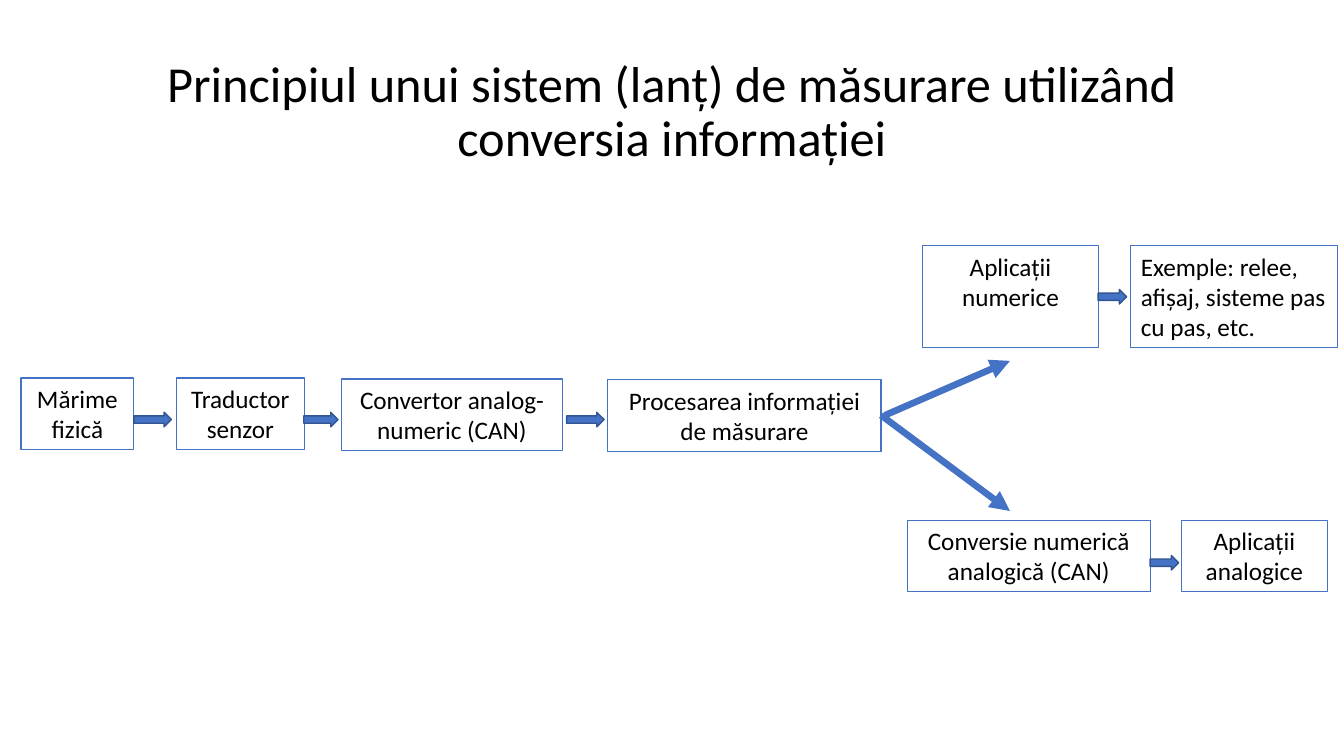
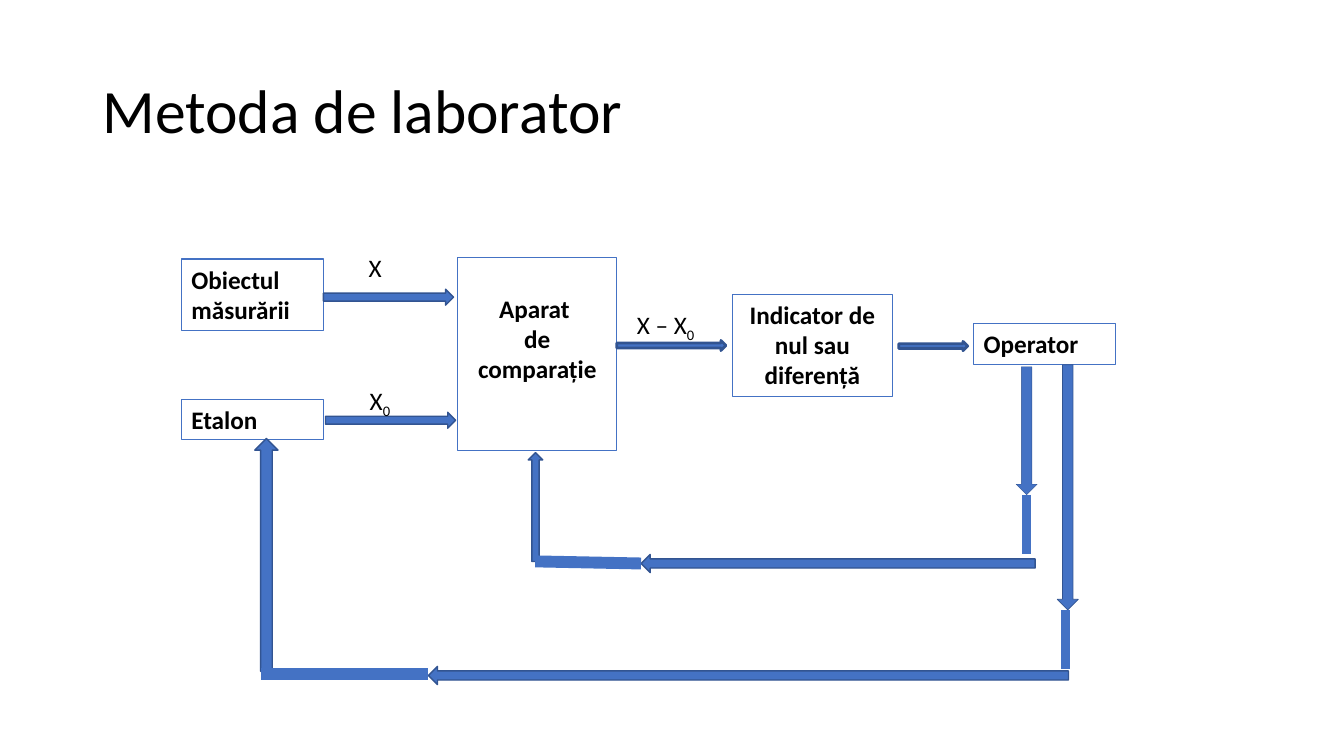
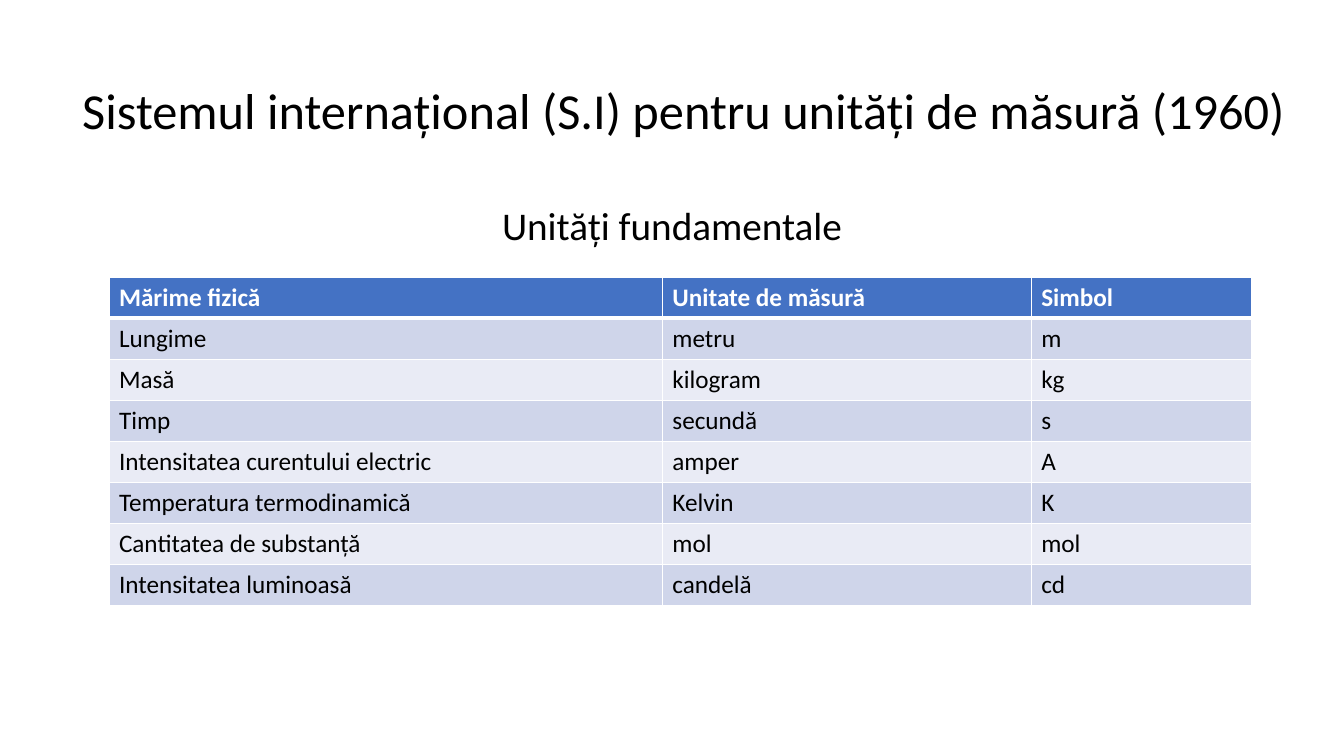
"""Build three slides on measurement systems, the laboratory method and SI units."""
from lxml import etree
from pptx import Presentation
from pptx.dml.color import RGBColor
from pptx.enum.shapes import MSO_CONNECTOR, MSO_SHAPE
from pptx.enum.text import MSO_ANCHOR, MSO_AUTO_SIZE, PP_ALIGN
from pptx.oxml.ns import qn
from pptx.util import Pt

LEFT, CENTER = PP_ALIGN.LEFT, PP_ALIGN.CENTER
RIGHT_ARROW, LEFT_ARROW = MSO_SHAPE.RIGHT_ARROW, MSO_SHAPE.LEFT_ARROW
UP_ARROW, DOWN_ARROW = MSO_SHAPE.UP_ARROW, MSO_SHAPE.DOWN_ARROW
STRAIGHT = MSO_CONNECTOR.STRAIGHT
BLUE, DARK_BLUE, BLACK, WHITE = "4472C4", "325491", "000000", "FFFFFF"
BANDS = ["E9EBF5", "CFD5EA"]


def color(hex_value):
    return RGBColor.from_string(hex_value)


def write(frame, text, align=LEFT, size=18, bold=False, ink=BLACK, spacing=1.0):
    frame.word_wrap = True
    frame.auto_size = MSO_AUTO_SIZE.NONE
    for index, line in enumerate(text.split("\n")):
        paragraph = frame.add_paragraph() if index else frame.paragraphs[0]
        layout = {"alignment": align, "line_spacing": spacing, "space_before": Pt(0)}
        for name, value in layout.items():
            setattr(paragraph, name, value)
        for level, part in enumerate(line.split("_")):
            run = paragraph.add_run()
            run.text = part
            for name, value in {"name": "Calibri", "size": Pt(size), "bold": bold}.items():
                setattr(run.font, name, value)
            run.font.color.rgb = color(ink)
            if level:
                run.font._element.set("baseline", "-25000")


presentation = Presentation()
presentation.slide_width, presentation.slide_height = Pt(960), Pt(540)
title_only, title_and_content = presentation.slide_layouts[5], presentation.slide_layouts[1]

headings = [
    (title_only, "Principiul unui sistem (lanț) de măsurare utilizând conversia informației",
     66, 828, CENTER, 36),
    (title_only, "Metoda de laborator", 66, 828, LEFT, 44),
    (title_and_content, "Sistemul internațional (S.I) pentru unități de măsură (1960)",
     29.5, 918, CENTER, 36),
]
slides = []
for layout, heading, left, width, align, size in headings:
    slide = presentation.slides.add_slide(layout)
    title = slide.shapes.title
    for name, value in {"left": left, "top": 28.8, "width": width, "height": 104.4}.items():
        setattr(title, name, Pt(value))
    title.text_frame.vertical_anchor = MSO_ANCHOR.MIDDLE
    write(title.text_frame, heading, align, size, spacing=0.9)
    slides.append(slide)
chain, laboratory, units = slides

boxes = [
    (chain, 15, 270, 80.6, 51, CENTER, "Mărime fizică"),
    (chain, 126, 270, 91.4, 51, CENTER, "Traductor\nsenzor"),
    (chain, 244, 270.7, 157.7, 51, CENTER, "Convertor analog-numeric (CAN)"),
    (chain, 434.2, 271.4, 195.1, 51, CENTER, "Procesarea informației de măsurare"),
    (chain, 658.8, 175.7, 126, 72.7, CENTER, "Aplicații numerice"),
    (chain, 648, 371.5, 173.5, 51, CENTER, "Conversie numerică analogică (CAN)"),
    (chain, 843.8, 371.5, 104.4, 51, CENTER, "Aplicații analogice"),
    (chain, 807.8, 175.7, 147.5, 72.7, LEFT, "Exemple: relee, afișaj, sisteme pas cu pas, etc."),
    (laboratory, 129.6, 185, 101.5, 51, LEFT, "Obiectul\nmăsurării"),
    (laboratory, 129.6, 285.1, 101.5, 29, LEFT, "Etalon"),
    (laboratory, 326.9, 183.6, 113.8, 138.2, CENTER, "Aparat \nde comparație"),
    (laboratory, 523.4, 210.2, 113.8, 72.7, CENTER, "Indicator de nul sau diferență"),
    (laboratory, 695.5, 231.1, 101.5, 29, LEFT, "Operator"),
]
for slide, left, top, width, height, align, text in boxes:
    box = slide.shapes.add_textbox(Pt(left), Pt(top), Pt(width), Pt(height))
    box.line.color.rgb = color(BLUE)
    box.line.width = Pt(0.75)
    if text.startswith("Aparat"):
        box.text_frame.margin_top = Pt(25.6)
    write(box.text_frame, text, align, bold=slide is laboratory)

arrows = [
    (chain, RIGHT_ARROW, 95.6, 294.5, 26.8, 10.4, 1),
    (chain, RIGHT_ARROW, 217, 294.5, 24.5, 10.4, 1),
    (chain, RIGHT_ARROW, 404.7, 294.5, 26.8, 10.4, 1),
    (chain, RIGHT_ARROW, 821.5, 396.7, 20.4, 10.4, 1),
    (chain, RIGHT_ARROW, 784.4, 206.8, 20.4, 10.4, 1),
    (laboratory, RIGHT_ARROW, 231, 206.6, 93, 11.4, 1),
    (laboratory, RIGHT_ARROW, 232.5, 294.5, 93, 11.4, 1),
    (laboratory, RIGHT_ARROW, 440.6, 243.2, 78, 7.2, 2),
    (laboratory, RIGHT_ARROW, 642, 243.9, 49.2, 6.6, 2),
    (laboratory, DOWN_ARROW, 725.8, 262, 15, 91.4, 0.25),
    (laboratory, DOWN_ARROW, 755.2, 260.6, 15, 175, 0.5),
    (laboratory, LEFT_ARROW, 457.9, 396, 281.5, 13, 1),
    (laboratory, LEFT_ARROW, 306, 476, 457.2, 13, 1),
    (laboratory, UP_ARROW, 182, 313.2, 16.6, 166.3, 1),
    (laboratory, UP_ARROW, 377.3, 323.3, 10.4, 77.8, 1),
]
for slide, kind, left, top, width, height, outline in arrows:
    arrow = slide.shapes.add_shape(kind, Pt(left), Pt(top), Pt(width), Pt(height))
    arrow.shadow.inherit = False
    arrow.fill.solid()
    arrow.fill.fore_color.rgb = color(BLUE)
    arrow.line.color.rgb = color(DARK_BLUE)
    arrow.line.width = Pt(outline)

links = [
    (chain, 629.3, 296.6, 721.4, 365, 4.75),
    (chain, 632.2, 296.6, 721.4, 257.8, 4.75),
    (laboratory, 382.3, 401, 457.9, 402.5, 8.5),
    (laboratory, 733, 353.5, 733, 396, 6.25),
    (laboratory, 761, 435.6, 761, 478, 6.25),
    (laboratory, 186.5, 481.7, 306, 481.7, 8.5),
]
for slide, x1, y1, x2, y2, weight in links:
    link = slide.shapes.add_connector(STRAIGHT, Pt(x1), Pt(y1), Pt(x2), Pt(y2))
    link.line.color.rgb = color(BLUE)
    link.line.width = Pt(weight)
    properties = link._element.spPr
    if slide is chain:
        etree.SubElement(properties.find(qn("a:ln")), qn("a:tailEnd"), type="triangle")
    etree.SubElement(properties, qn("a:effectLst"))

signals = [(256.3, 176.4, 34.6, "X"), (257, 271.4, 34.6, "X_0"), (447.8, 217.4, 70.6, "X – X_0")]
for left, top, width, text in signals:
    signal = laboratory.shapes.add_textbox(Pt(left), Pt(top), Pt(width), Pt(29))
    write(signal.text_frame, text)

subtitle = units.placeholders[1]
for name, value in {"left": 66, "top": 144, "width": 828, "height": 342.7}.items():
    setattr(subtitle, name, Pt(value))
subtitle_format = subtitle.text_frame.paragraphs[0]._p.get_or_add_pPr()
for name in ("marL", "indent"):
    subtitle_format.set(name, "0")
etree.SubElement(subtitle_format, qn("a:buNone"))
write(subtitle.text_frame, "Unități fundamentale", CENTER, 28, spacing=0.9)

quantities = [
    ("Mărime fizică", "Unitate de măsură", "Simbol"),
    ("Lungime", "metru", "m"),
    ("Masă", "kilogram", "kg"),
    ("Timp", "secundă", "s"),
    ("Intensitatea curentului electric", "amper", "A"),
    ("Temperatura termodinamică", "Kelvin", "K"),
    ("Cantitatea de substanță", "mol", "mol"),
    ("Intensitatea luminoasă", "candelă", "cd"),
]
table = units.shapes.add_table(
    len(quantities), 3, Pt(77.8), Pt(198), Pt(816.5), Pt(29.35 * len(quantities))).table
for column, width in zip(table.columns, (395.3, 263.5, 157.7)):
    column.width = Pt(width)
for row, values in enumerate(quantities):
    table.rows[row].height = Pt(29.35)
    for column, value in enumerate(values):
        cell = table.cell(row, column)
        borders = {"lnL": 1, "lnR": 1, "lnT": 3 if row == 1 else 1, "lnB": 1 if row else 3}
        for side, weight in borders.items():
            border = etree.SubElement(
                cell._tc.get_or_add_tcPr(), qn("a:" + side), w=str(Pt(weight)))
            paint = etree.SubElement(border, qn("a:solidFill"))
            etree.SubElement(paint, qn("a:srgbClr"), val=WHITE)
        cell.fill.solid()
        cell.fill.fore_color.rgb = color(BANDS[row % 2] if row else BLUE)
        write(cell.text_frame, value, bold=row == 0, ink=BLACK if row else WHITE)

presentation.save("out.pptx")
